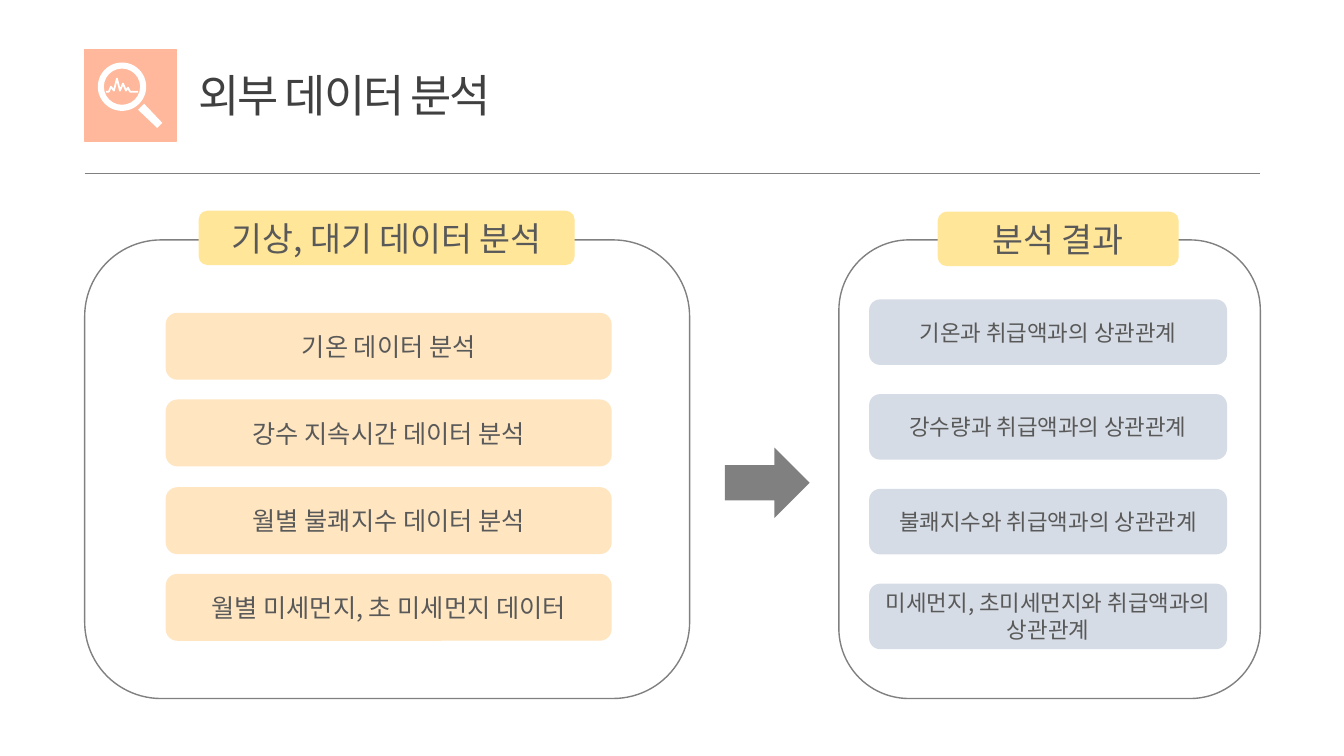
from pptx import Presentation
from pptx.dml.color import RGBColor
from pptx.enum.shapes import MSO_CONNECTOR as CONN, MSO_SHAPE as SHAPE
from pptx.enum.text import MSO_ANCHOR as ANCHOR, MSO_AUTO_SIZE as AUTO, PP_ALIGN as ALIGN
from pptx.oxml.ns import qn
from pptx.util import Pt
from lxml.etree import SubElement

PX = 9144  # EMU per px, 100 px to the inch
FONT = "Noto Sans CJK KR"
COLORS = {
    "title": "404040",
    "text": "595959",
    "gray": "808080",
    "coral": "FFB89B",
    "white": "FFFFFF",
    "tag": "FFE699",
    "data": "FFE6C1",
    "result": "D6DCE5",
}
DATA = [
    "기온 데이터 분석",
    "강수 지속시간 데이터 분석",
    "월별 불쾌지수 데이터 분석",
    "월별 미세먼지, 초 미세먼지 데이터",
]
RESULTS = [
    "기온과 취급액과의 상관관계",
    "강수량과 취급액과의 상관관계",
    "불쾌지수와 취급액과의 상관관계",
    "미세먼지, 초미세먼지와 취급액과의 상관관계",
]
HANDLE = [(143, 103), (161, 122), (156, 127), (137, 109)]
PULSE = [(105, 91), (108, 91), (110, 86), (113, 90), (116, 78), (119, 90),
         (122, 83), (125, 90), (127, 87), (129, 91), (137, 91)]


def rgb(name):
    return RGBColor.from_string(COLORS[name])


def style_text(p, size, color):
    for r in p.runs:
        r.font.size = Pt(size)
        r.font.name = FONT
        r.font.color.rgb = rgb(color)
        SubElement(r.font._element, qn("a:ea")).set("typeface", FONT)


def paint(sp, fill=None, line=None, width=1):
    sp.shadow.inherit = False
    if fill:
        sp.fill.solid()
        sp.fill.fore_color.rgb = rgb(fill)
    else:
        sp.fill.background()
    if line:
        sp.line.color.rgb = rgb(line)
        sp.line.width = Pt(width)
    else:
        sp.line.fill.background()


def add_shape(s, kind, box, fill=None, line=None):
    sp = s.shapes.add_shape(kind, *(v * PX for v in box))
    paint(sp, fill, line)
    return sp


def add_label(s, box, text, size, fill, line=None):
    sp = add_shape(s, SHAPE.ROUNDED_RECTANGLE, box, fill, line)
    tf = sp.text_frame
    tf.word_wrap = True
    tf.vertical_anchor = ANCHOR.MIDDLE
    tf.text = text
    p = tf.paragraphs[0]
    p.alignment = ALIGN.CENTER
    style_text(p, size, "text")


def add_column(s, texts, box, last_top, size, fill, line=None):
    """Stack equal boxes at an even pitch, from the first box to last_top."""
    x, y, w, h = box
    for i, text in enumerate(texts):
        top = y + round(i * (last_top - y) / (len(texts) - 1))
        add_label(s, (x, top, w, h), text, size, fill, line)


def add_outline(s, points, closed):
    builder = s.shapes.build_freeform(*points[0], scale=PX)
    builder.add_line_segments(points[1:], close=closed)
    return builder.convert_to_shape()


def add_title(s, text):
    sp = s.shapes.title
    sp.left, sp.top, sp.width, sp.height = (v * PX for v in (187, 62, 773, 64))
    tf = sp.text_frame
    tf.text = text
    tf.auto_size = AUTO.NONE
    tf.vertical_anchor = ANCHOR.MIDDLE
    p = tf.paragraphs[0]
    p.alignment = ALIGN.LEFT
    style_text(p, 32, "title")
    p.runs[0].font._element.set("spc", "-150")


def add_rule(s):
    rule = s.shapes.add_connector(CONN.STRAIGHT, 84 * PX, 172 * PX, 1250 * PX, 172 * PX)
    rule.line.color.rgb = rgb("gray")
    rule.line.width = Pt(0.75)
    SubElement(rule._element.spPr, qn("a:effectLst"))


def add_magnifier(s):
    add_shape(s, SHAPE.RECTANGLE, (84, 49, 91, 91), "coral", "coral")
    lens = add_shape(s, SHAPE.DONUT, (97, 62, 48, 48), "white")
    lens.adjustments[0] = 0.125
    paint(add_outline(s, HANDLE, True), "white")
    paint(add_outline(s, PULSE, False), line="white", width=1.25)


def main():
    prs = Presentation()
    prs.slide_width, prs.slide_height = 1333 * PX, 750 * PX
    s = prs.slides.add_slide(prs.slide_layouts[5])

    add_rule(s)
    add_title(s, "외부 데이터 분석")
    add_magnifier(s)

    add_shape(s, SHAPE.ROUNDED_RECTANGLE, (84, 238, 600, 455), line="gray")
    add_label(s, (197, 209, 373, 54), "기상, 대기 데이터 분석", 24, "tag")
    add_column(s, DATA, (165, 311, 441, 65), 570, 18, "data", "data")

    add_shape(s, SHAPE.RIGHT_ARROW, (719, 444, 84, 70), "gray")

    add_shape(s, SHAPE.ROUNDED_RECTANGLE, (832, 238, 418, 455), line="gray")
    add_label(s, (930, 210, 239, 54), "분석 결과", 24, "tag")
    add_column(s, RESULTS, (862, 297, 355, 65), 579, 16, "result")

    prs.save("out.pptx")


if __name__ == "__main__":
    main()
